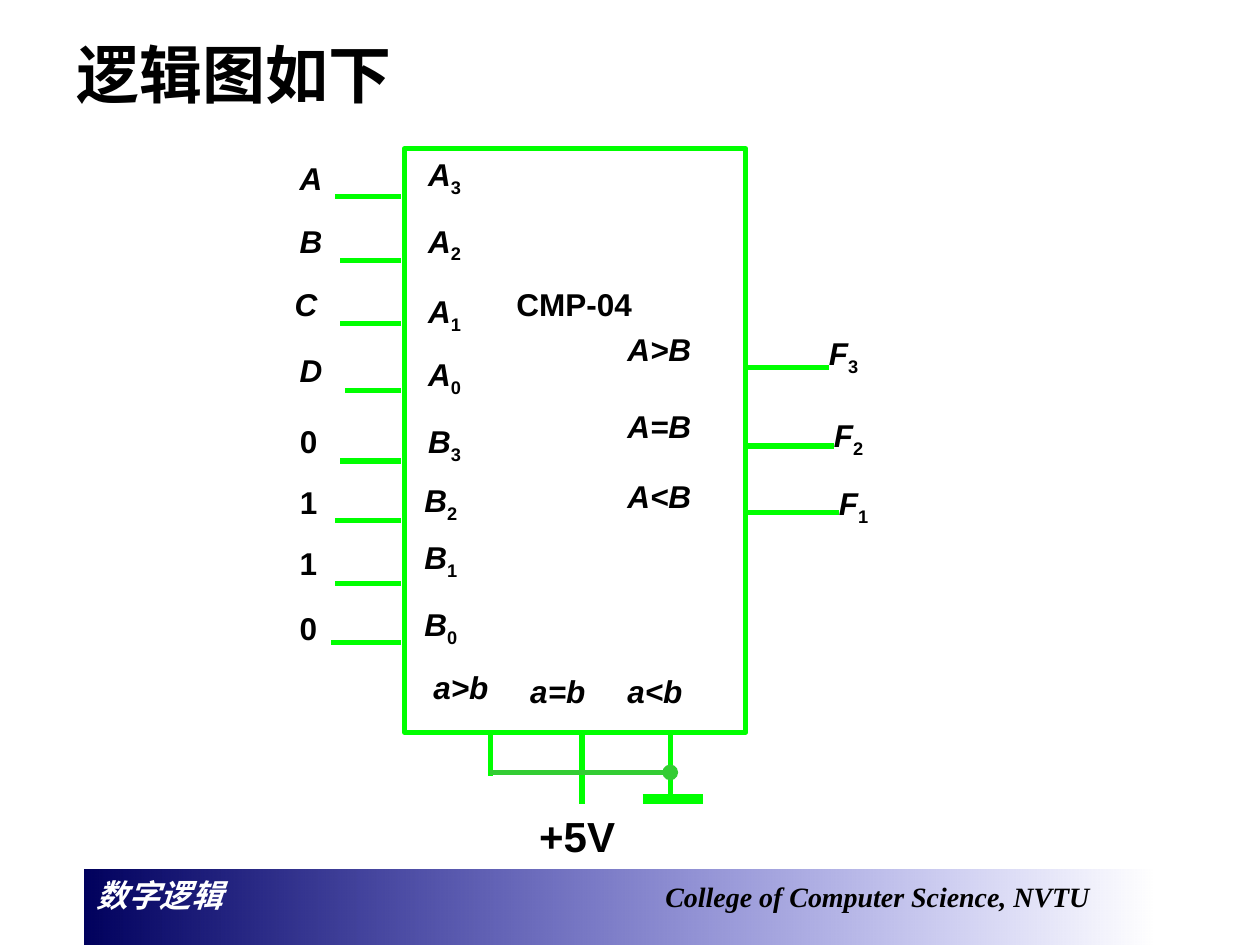
from lxml import etree
from pptx import Presentation
from pptx.dml.color import RGBColor
from pptx.enum.shapes import MSO_CONNECTOR, MSO_SHAPE
from pptx.enum.text import MSO_ANCHOR, MSO_AUTO_SIZE, PP_ALIGN
from pptx.oxml.ns import qn
from pptx.util import Pt

RECTANGLE = MSO_SHAPE.RECTANGLE
STRAIGHT = MSO_CONNECTOR.STRAIGHT
TOP = MSO_ANCHOR.TOP
NO_FIT = MSO_AUTO_SIZE.NONE
LEFT, JUSTIFY = PP_ALIGN.LEFT, PP_ALIGN.JUSTIFY

GREEN, BUS_GREEN = "00FF00", "33CC33"
BLACK, WHITE = "000000", "FFFFFF"

CHIP = (231.1, 85, 195.1, 333.4)
CHIP_RIGHT, CHIP_BOTTOM = 426.2, 418.3
WIRE_END = 229

# name, left, top, width, height, italic
INPUTS = [
    ("A", 164.2, 87.1, 79.2, 50.4, True),
    ("B", 164.2, 123.1, 79.2, 51.1, True),
    ("C", 161.3, 159.1, 79.2, 56.9, True),
    ("D", 164.2, 197.3, 79.2, 55.4, True),
    ("0", 164.2, 237.6, 66.2, 51.8, False),
    ("1", 164.2, 272.2, 68.4, 61.9, False),
    ("1", 164.2, 307.4, 79.2, 54.7, False),
    ("0", 164.2, 344.2, 79.2, 76.3, False),
]
# letter, index, left, top, height, wire start, wire height on the slide
PINS = [
    ("A", "3", 237.6, 85, 50.4, 191.5, 112.3),
    ("A", "2", 237.6, 123.1, 52.6, 194.4, 149),
    ("A", "1", 237.6, 163.4, 54.7, 194.4, 185),
    ("A", "0", 237.6, 199.4, 51.1, 197.3, 223.2),
    ("B", "3", 237.6, 237.6, 53.3, 194.4, 263.5),
    ("B", "2", 235.4, 271.4, 50.4, 191.5, 297.4),
    ("B", "1", 235.4, 303.8, 55.4, 191.5, 333.4),
    ("B", "0", 235.4, 342, 50.4, 189.4, 367.2),
]
# comparison, top, height, then output index, left, top, height, wire end, wire height
OUTPUTS = [
    ("A>B", 185, 44.6, "3", 466.6, 187.2, 59.8, 473.8, 210.2),
    ("A=B", 229, 44.6, "2", 469.4, 234, 49.7, 476.6, 254.9),
    ("A<B", 269.3, 59.8, "1", 472.3, 272.9, 51.1, 479.5, 293),
]
# cascade input, left, top, height, wire x, wire bottom
CASCADES = [
    ("a>b", 240.5, 378, 51.8, 280.1, 443.5),
    ("a=b", 295.9, 380.2, 52.6, 332.6, 459.4),
    ("a<b", 351.4, 380.2, 54.7, 383, 456.5),
]


def color(hex_string):
    return RGBColor.from_string(hex_string)


class Diagram:
    font_name = "Arial"
    font_size = 18
    line_width = 3

    def __init__(self, slide):
        self.slide = slide

    def style(self, font, size, name=font_name, italic=False):
        font.name, font.size = name, Pt(size)
        font.bold, font.italic = True, italic
        font.color.rgb = color(BLACK)

    def title(self, text, left, top, width, height):
        shape = self.slide.shapes.title
        shape.left, shape.top = Pt(left), Pt(top)
        shape.width, shape.height = Pt(width), Pt(height)
        frame = shape.text_frame
        frame.text = text
        frame.vertical_anchor = TOP
        frame.auto_size = NO_FIT
        paragraph = frame.paragraphs[0]
        paragraph.alignment = JUSTIFY
        self.style(paragraph.font, 36, "Arial Narrow")

    def label(self, text, left, top, width, height, italic=True,
              subscript="", size=font_size):
        box = self.slide.shapes.add_textbox(Pt(left), Pt(top), Pt(width), Pt(height))
        box.text_frame.word_wrap = True
        paragraph = box.text_frame.paragraphs[0]
        paragraph.alignment = JUSTIFY
        self.style(paragraph.font, size, italic=italic)
        paragraph.add_run().text = text
        if subscript:
            run = paragraph.add_run()
            run.text = subscript
            run.font.italic = False
            run._r.get_or_add_rPr().set("baseline", "-25000")

    def wire(self, x1, y1, x2, y2, stroke=GREEN, width=line_width, dot=False):
        connector = self.slide.shapes.add_connector(
            STRAIGHT, Pt(x1), Pt(y1), Pt(x2), Pt(y2))
        connector.line.color.rgb = color(stroke)
        connector.line.width = Pt(width)
        properties = connector._element.spPr
        if dot:
            etree.SubElement(properties.find(qn("a:ln")), qn("a:tailEnd"), type="oval")
        etree.SubElement(properties, qn("a:effectLst"))

    def rectangle(self, left, top, width, height):
        shape = self.slide.shapes.add_shape(
            RECTANGLE, Pt(left), Pt(top), Pt(width), Pt(height))
        shape.shadow.inherit = False
        return shape

    def chip(self, *bounds):
        shape = self.rectangle(*bounds)
        shape.fill.background()
        shape.line.color.rgb = color(GREEN)
        shape.line.width = Pt(self.line_width)

    def banner(self, course, college, *bounds):
        """Footer band that fades out to the right, with a tab between its texts."""
        shape = self.rectangle(*bounds)
        shape.line.fill.background()
        shape.fill.gradient()
        shape.fill.gradient_angle = 0
        for stop, shade in zip(shape.fill.gradient_stops, ("00005E", "0000CC")):
            stop.color.rgb = color(shade)
        last_color = list(shape._element.spPr.iter(qn("a:srgbClr")))[-1]
        etree.SubElement(last_color, qn("a:alpha"), val="0")

        frame = shape.text_frame
        frame.word_wrap = True
        frame.vertical_anchor = TOP
        paragraph = frame.paragraphs[0]
        paragraph.alignment = LEFT
        paragraph.space_before = Pt(10)
        self.style(paragraph.font, 18, "Times New Roman", italic=True)
        tabs = etree.Element(qn("a:tabLst"))
        etree.SubElement(tabs, qn("a:tab"), pos=str(Pt(325)), algn="l")
        paragraph._p.pPr.find(qn("a:defRPr")).addprevious(tabs)
        for text, size, shade in ((course + "\t", 18, WHITE), (college, 16, BLACK)):
            run = paragraph.add_run()
            run.text = text
            run.font.size = Pt(size)
            run.font.color.rgb = color(shade)


def main():
    presentation = Presentation()
    presentation.slide_width, presentation.slide_height = Pt(720), Pt(540)
    diagram = Diagram(presentation.slides.add_slide(presentation.slide_layouts[5]))

    diagram.banner("数字逻辑", "College of Computer Science, NVTU",
                   48.2, 496.8, 612, 50.4)
    diagram.title("逻辑图如下", 36.7, 16.6, 266.4, 51.8)
    diagram.chip(*CHIP)
    diagram.label("CMP-04", 288, 159.1, 134.6, 76.3, italic=False)

    for name, left, top, width, height, italic in INPUTS:
        diagram.label(name, left, top, width, height, italic)
    for letter, index, left, top, height, start, y in PINS:
        diagram.label(letter, left, top, 82.1, height, subscript=index)
        diagram.wire(WIRE_END, y, start, y)
    for test, test_top, test_height, index, left, top, height, end, y in OUTPUTS:
        diagram.label(test, 351.4, test_top, 92.2, test_height)
        diagram.wire(CHIP_RIGHT, y, end, y)
        diagram.label("F", left, top, 79.2, height, subscript=index)
    for name, left, top, height, x, bottom in CASCADES:
        diagram.label(name, left, top, 92.2, height)
        diagram.wire(x, CHIP_BOTTOM, x, bottom)

    diagram.wire(280.1, 441.4, 383, 441.4, BUS_GREEN, dot=True)
    diagram.wire(367.2, 456.5, 401.8, 456.5, width=6)
    diagram.label("+5V", 301, 459.4, 64.1, 35.3, italic=False, size=24)
    presentation.save("out.pptx")


if __name__ == "__main__":
    main()
